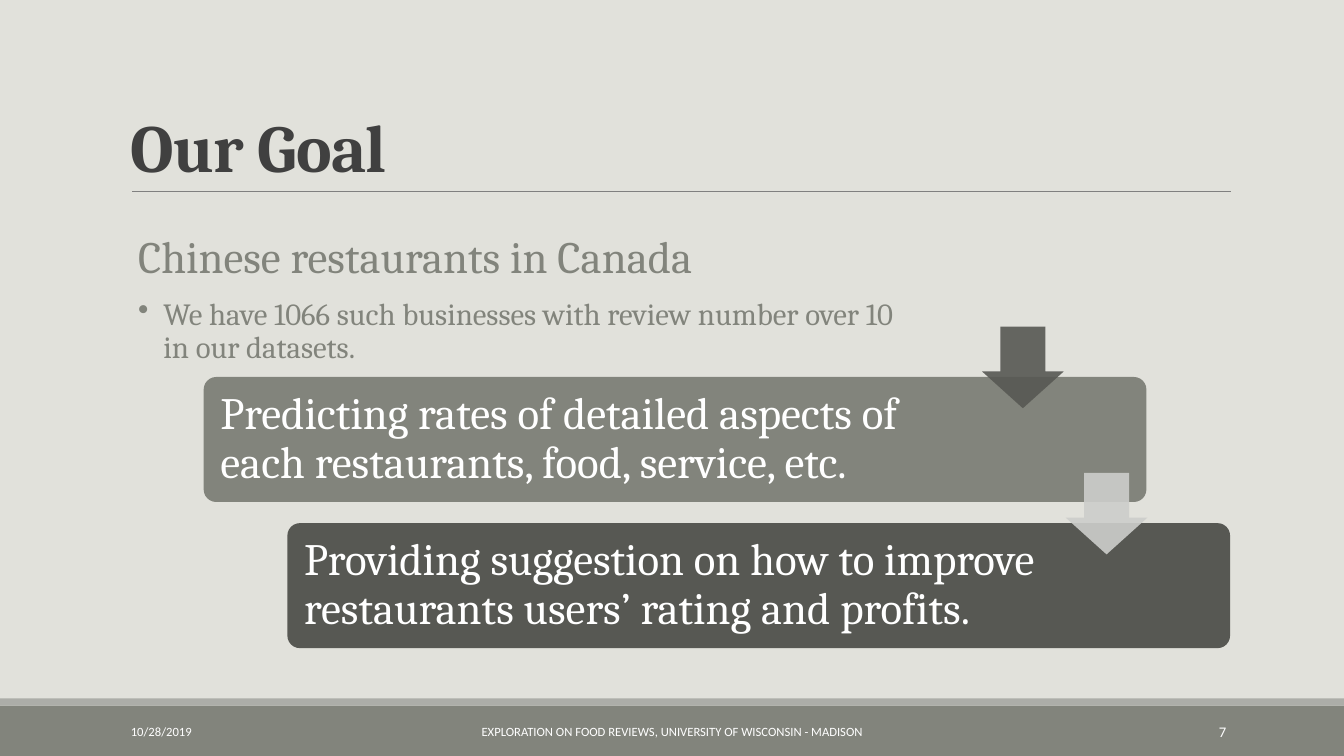
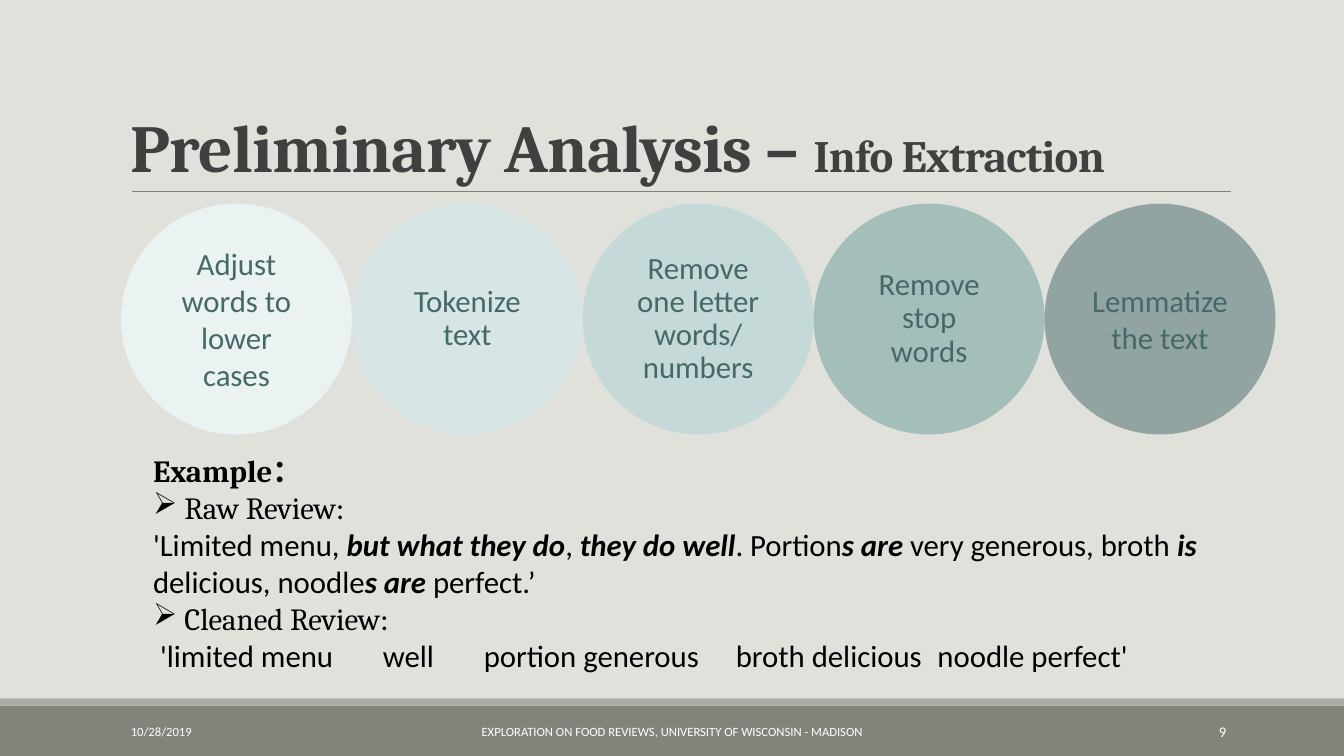
from lxml.etree import SubElement
from pptx import Presentation
from pptx.dml.color import RGBColor
from pptx.enum.shapes import MSO_CONNECTOR, MSO_SHAPE
from pptx.enum.text import MSO_ANCHOR, PP_ALIGN
from pptx.oxml.ns import qn
from pptx.util import Inches, Pt

HUES = {
    "page": "E1E1DB", "band": "82847C", "strip": "ACADA8", "rule": "808080",
    "title": "404040", "white": "FFFFFF", "black": "000000", "dark": "575853",
    "pale": "CDCECB", "teal": "456968", "mint": "689D9B",
    "ice": "EBF2F2", "mist": "D8E5E5", "haze": "C4D9D8",
}
SERIF, SANS = "Cambria", "Calibri"
FOOT = "EXPLORATION ON FOOD REVIEWS, UNIVERSITY OF WISCONSIN - MADISON"


def hue(name):
    """Return the named colour."""
    return RGBColor.from_string(HUES[name])


def inset(shape, pads=(0.1, 0.05, 0.1, 0.05), anchor=MSO_ANCHOR.MIDDLE):
    """Set wrapping, margins (left, top, right, bottom) and anchor."""
    frame = shape.text_frame
    frame.word_wrap = True
    frame.vertical_anchor = anchor
    (frame.margin_left, frame.margin_top,
     frame.margin_right, frame.margin_bottom) = map(Inches, pads)


def label(slide, box, **look):
    """Add an empty text box."""
    shape = slide.shapes.add_textbox(*map(Inches, box))
    inset(shape, **look)
    return shape


def block(slide, kind, box, color, alpha=None, adjust=()):
    """Add a filled shape without line or shadow."""
    shape = slide.shapes.add_shape(kind, *map(Inches, box))
    shape.shadow.inherit = False
    shape.line.fill.background()
    shape.fill.solid()
    shape.fill.fore_color.rgb = hue(color)
    for n, value in enumerate(adjust):
        shape.adjustments[n] = value
    if alpha:
        tint = shape.fill._xPr.find(".//" + qn("a:srgbClr"))
        SubElement(tint, qn("a:alpha"), val=str(alpha * 1000))
    return shape


def write(shape, runs, size=22, font=SANS, color="black", bold=False,
          align=PP_ALIGN.LEFT, lead=None, after=None, left=0, first=0,
          bullet=None, tabs=(), track=None):
    """Add a paragraph; runs is a string or (text, changes) pairs."""
    frame = shape.text_frame
    para = frame.add_paragraph() if frame.text else frame.paragraphs[0]
    props = para._p.get_or_add_pPr()
    props.set("marL", str(Inches(left)))
    props.set("indent", str(Inches(first)))
    if bullet:
        SubElement(props, qn("a:buChar"), char=bullet)
    else:
        SubElement(props, qn("a:buNone"))
    if tabs:
        stops = SubElement(props, qn("a:tabLst"))
        for stop in tabs:
            SubElement(stops, qn("a:tab"), pos=str(Inches(stop)), algn="l")
    para.alignment = align
    if lead:
        para.line_spacing = lead
    if after:
        para.space_after = Pt(after)
    base = {"size": size, "font": font, "bold": bold, "italic": False}
    for text, change in [(runs, {})] if isinstance(runs, str) else runs:
        look = {**base, **change}
        run = para.add_run()
        run.text = text
        run.font.size = Pt(look["size"])
        run.font.name = look["font"]
        run.font.bold = look["bold"]
        run.font.italic = look["italic"]
        run.font.color.rgb = hue(color)
        if track:
            run._r.get_or_add_rPr().set("spc", str(track))


def stress(text):
    """Split text at asterisks; every second part is bold italic."""
    return [(part, {"bold": n % 2 == 1, "italic": n % 2 == 1})
            for n, part in enumerate(text.split("*"))]


def base(deck, title, number):
    """Add a slide with its background, title, rule and footer."""
    slide = deck.slides.add_slide(deck.slide_layouts[6])
    slide.background.fill.solid()
    slide.background.fill.fore_color.rgb = hue("page")
    block(slide, MSO_SHAPE.RECTANGLE, (0, 7, 13.33, 0.5), "band")
    block(slide, MSO_SHAPE.RECTANGLE, (0, 6.93, 13.33, 0.07), "strip")
    rule = slide.shapes.add_connector(
        MSO_CONNECTOR.STRAIGHT, *map(Inches, (1.31, 1.9, 12.21, 1.9)))
    rule.line.color.rgb = hue("rule")
    rule.line.width = Pt(0.5)
    SubElement(rule._element.spPr, qn("a:effectLst"))
    head = label(slide, (1.2, 0.31, 11, 1.59), anchor=MSO_ANCHOR.BOTTOM)
    write(head, title, size=48, font=SERIF, color="title", bold=True,
          lead=0.85, track=-50)
    for left, width, text, size, align in (
            (4.03, 5.27, FOOT, 9, PP_ALIGN.CENTER),
            (1.2, 2.7, "10/28/2019", 9, PP_ALIGN.LEFT),
            (10.83, 1.43, number, 10.5, PP_ALIGN.RIGHT)):
        write(label(slide, (left, 7.06, width, 0.4)), text, size=size,
              color="white", align=align)
    return slide


def stairs(slide, left, top):
    """Draw the goal, its two steps and the arrows between them."""
    goal = label(slide, (left + 0.05, top + 0.1, 8.01, 1.17), pads=[0.13] * 4)
    write(goal, "Chinese restaurants in Canada", size=32, font=SERIF,
          color="band", lead=0.9, after=11)
    write(goal, "We have 1066 such businesses with review number over 10 "
          "in our datasets.", font=SERIF, color="band", lead=0.9,
          left=0.25, first=-0.25, bullet="•")
    steps = (
        ("Predicting rates of detailed aspects of each restaurants, food, "
         "service, etc.", "band", "dark"),
        ("Providing suggestion on how to improve restaurants users’ rating "
         "and profits.", "dark", "pale"))
    spots = [(left + 0.83 * n, top + 1.45 * n) for n in (1, 2)]
    for (x, y), (text, color, _) in zip(spots, steps):
        step = block(slide, MSO_SHAPE.ROUNDED_RECTANGLE, (x, y, 9.35, 1.24),
                     color, adjust=[0.1])
        inset(step, (0.13, 0.13, 1.76, 0.13))
        write(step, text, size=32, font=SERIF, color="white", lead=0.9)
    for (x, y), (_, _, color) in zip(spots, steps):
        block(slide, MSO_SHAPE.DOWN_ARROW, (x + 7.72, y - 0.5, 0.81, 0.81),
              color, alpha=90, adjust=(0.55, 0.45))


def chain(slide, left, top, size):
    """Draw the row of touching circles."""
    stages = (
        ("Adjust words to lower cases", "ice", None, None),
        ("Tokenize text", "mist", None, 0.9),
        ("Remove one letter words/ numbers", "haze", None, 0.9),
        ("Remove stop words", "mint", 50, 0.9),
        ("Lemmatize the text", "teal", 50, None))
    for n, (text, color, alpha, lead) in enumerate(stages):
        disc = block(slide, MSO_SHAPE.OVAL,
                     (left + size * n, top, size, size), color, alpha)
        inset(disc, (0.13, 0.03, 0.13, 0.03))
        write(disc, text, color="teal", align=PP_ALIGN.CENTER, lead=lead)


def sample(slide, box):
    """Write the raw and the cleaned review."""
    note = label(slide, box, anchor=MSO_ANCHOR.TOP)
    item = {"left": 0.53, "first": -0.31, "bullet": "➢", "font": SERIF}
    colon = (":", {"font": SANS})
    write(note, "Example：", font=SERIF, bold=True, left=0.22)
    write(note, [("Raw Review", {}), colon], **item)
    write(note, stress(
        "'Limited menu, *but what they do*,* they do well*. Portion*s are* "
        "very generous, broth *is* delicious, noodle*s are* perfect.’"),
        left=0.22)
    write(note, [("Cleaned Review", {}), colon], **item)
    write(note, "'limited menu\twell\tportion generous\tbroth delicious\t"
          "noodle perfect'", first=0.29, tabs=(2.21, 2.93, 5.26, 7.31))


def main():
    """Build and save the deck."""
    deck = Presentation()
    deck.slide_width, deck.slide_height = Inches(13.33), Inches(7.5)
    stairs(base(deck, "Our Goal", "7"), 1.19, 2.29)
    title = [("Preliminary Analysis – ", {}), ("Info Extraction", {"size": 32})]
    slide = base(deck, title, "9")
    chain(slide, 1.2, 2.02, 2.29)
    sample(slide, (1.2, 4.43, 10.87, 2.62))
    deck.save("out.pptx")


if __name__ == "__main__":
    main()
